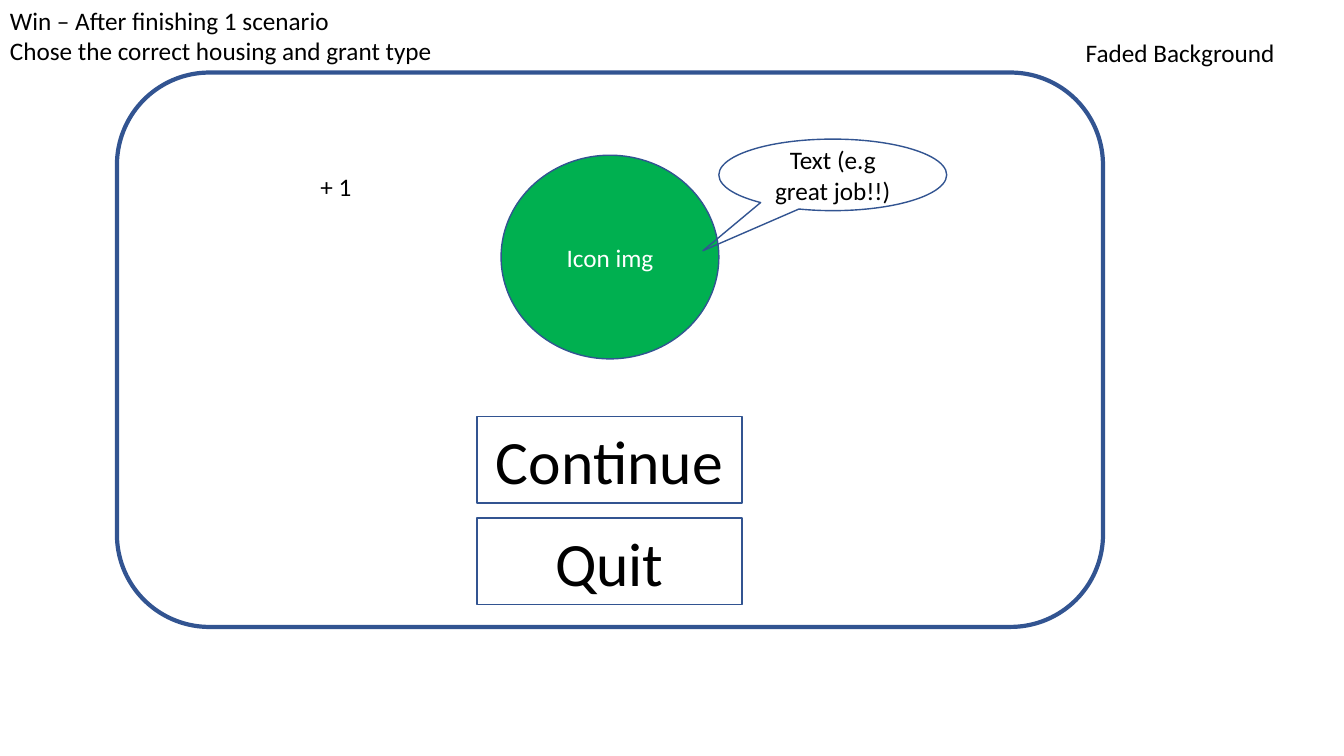
from dataclasses import dataclass

from pptx import Presentation
from pptx.dml.color import RGBColor
from pptx.enum.shapes import MSO_SHAPE
from pptx.enum.text import MSO_ANCHOR, PP_ALIGN
from pptx.util import Pt

PX = 9144  # EMU per px, 100 px to the inch


@dataclass(frozen=True)
class Theme:
    font: str = "Calibri"
    ink: str = "000000"
    light: str = "FFFFFF"
    outline: str = "325491"
    icon: str = "00B050"
    body: int = 18
    button: int = 44


def write(tf, text, *, font, size, color, align=PP_ALIGN.LEFT, anchor=MSO_ANCHOR.TOP):
    """Fill a text frame, one paragraph per line of text."""
    tf.word_wrap = True
    tf.vertical_anchor = anchor
    tf.text = text
    for p in tf.paragraphs:
        p.alignment = align
        p.font.name = font
        p.font.size = Pt(size)
        p.font.color.rgb = RGBColor.from_string(color)


class Canvas:
    def __init__(self, slide, theme):
        self.slide = slide
        self.theme = theme

    def label(self, text, x, y, w, h):
        t = self.theme
        s = self.slide.shapes.add_textbox(x * PX, y * PX, w * PX, h * PX)
        write(s.text_frame, text, font=t.font, size=t.body, color=t.ink)

    def shape(self, kind, x, y, w, h, text="", *, fill=None, color=None,
              size=None, line=1, adjust=()):
        t = self.theme
        s = self.slide.shapes.add_shape(kind, x * PX, y * PX, w * PX, h * PX)
        s.shadow.inherit = False
        if fill:
            s.fill.solid()
            s.fill.fore_color.rgb = RGBColor.from_string(fill)
        else:
            s.fill.background()
        s.line.color.rgb = RGBColor.from_string(t.outline)
        s.line.width = Pt(line)
        for i, value in enumerate(adjust):
            s.adjustments[i] = value
        if text:
            write(s.text_frame, text, font=t.font, size=size or t.body,
                  color=color or t.ink, align=PP_ALIGN.CENTER,
                  anchor=MSO_ANCHOR.MIDDLE)


def main():
    prs = Presentation()
    prs.slide_width, prs.slide_height = 1333 * PX, 750 * PX
    theme = Theme()
    canvas = Canvas(prs.slides.add_slide(prs.slide_layouts[6]), theme)

    canvas.label("Win – After finishing 1 scenario\n"
                 "Chose the correct housing and grant type", 0, 0, 445, 71)
    canvas.shape(MSO_SHAPE.OVAL, 497, 154, 216, 202, "Icon img",
                 fill=theme.icon, color=theme.light)
    canvas.label("Faded Background", 1067, 32, 244, 40)
    for i, caption in enumerate(("Continue", "Quit")):
        canvas.shape(MSO_SHAPE.RECTANGLE, 473, 413 + 101 * i, 263, 86, caption,
                     size=theme.button)
    canvas.label("+ 1", 308, 165, 194, 40)
    canvas.shape(MSO_SHAPE.ROUNDED_RECTANGLE, 116, 72, 978, 550, line=3)
    canvas.shape(MSO_SHAPE.OVAL_CALLOUT, 713, 138, 226, 71,
                 "Text (e.g great job!!)", adjust=(-0.57, 1.06))

    prs.save("out.pptx")


if __name__ == "__main__":
    main()
